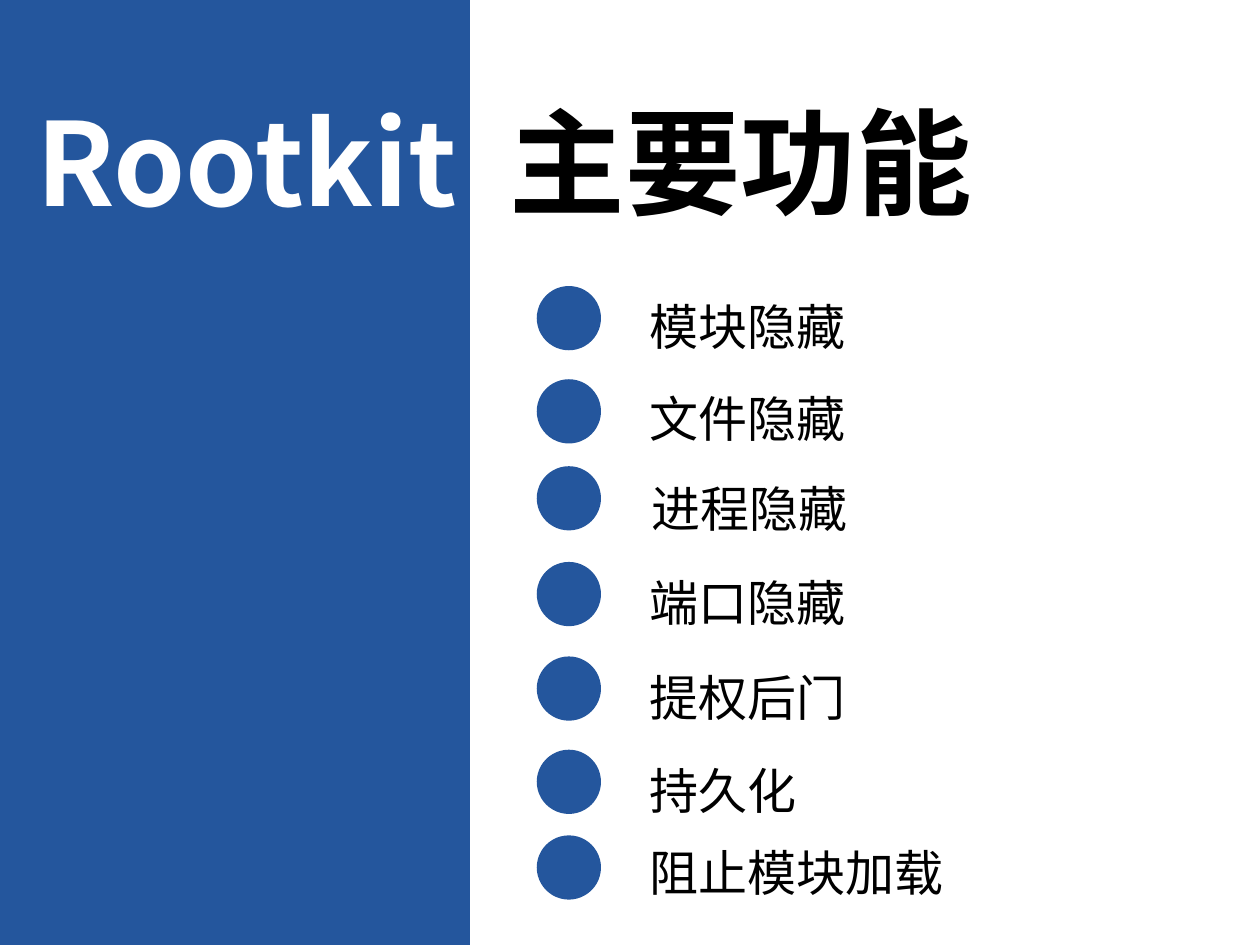
from dataclasses import dataclass

from pptx import Presentation
from pptx import util as u
from pptx.dml.color import RGBColor
from pptx.enum import shapes, text
from pptx.oxml import ns, xmlchemy

BLUE = RGBColor(0x24, 0x56, 0x9D)
WHITE = RGBColor(0xFF, 0xFF, 0xFF)
BLACK = RGBColor(0x00, 0x00, 0x00)
FONT = "Noto Sans CJK SC"
DOT_LEFT, DOT_SIZE = 4.26, 0.51
LABEL_LEFT, LABEL_WIDTH = 5.06, 6.49


@dataclass(frozen=True)
class Span:
    words: str
    size: int
    color: RGBColor
    bold: bool = False


@dataclass(frozen=True)
class Feature:
    name: str
    dot_top: float
    label_top: float
    label_left: float = LABEL_LEFT
    label_height: float = 0.66
    line_spacing: float = 1.25


TITLE = [
    Span("Rootkit  ", 66, WHITE, True),
    Span("主要功能", 66, BLACK, True),
]
FEATURES = [
    Feature("模块隐藏", 2.27, 2.19),
    Feature("文件隐藏", 3.01, 2.92),
    Feature("进程隐藏", 3.7, 3.63, label_left=5.07),
    Feature("端口隐藏", 4.46, 4.38),
    Feature("提权后门", 5.21, 5.13),
    Feature("持久化", 5.95, 5.87),
    Feature("阻止模块加载", 6.63, 6.64, label_height=0.57, line_spacing=1.0),
]


def add_solid(page, kind, left: float, top: float, width: float, height: float) -> None:
    solid = page.shapes.add_shape(
        kind, u.Inches(left), u.Inches(top), u.Inches(width), u.Inches(height)
    )
    solid.shadow.inherit = False
    solid.fill.solid()
    solid.fill.fore_color.rgb = BLUE
    solid.line.fill.background()


def add_text(page, spans: list[Span], left: float, top: float, width: float,
             height: float, line_spacing: float = 1.0) -> None:
    box = page.shapes.add_textbox(
        u.Inches(left), u.Inches(top), u.Inches(width), u.Inches(height)
    )
    frame = box.text_frame
    frame.word_wrap = True
    frame.auto_size = text.MSO_AUTO_SIZE.SHAPE_TO_FIT_TEXT
    para = frame.paragraphs[0]
    para.line_spacing = line_spacing
    for span in spans:
        run = para.add_run()
        run.text = span.words
        formats = {"name": FONT, "size": u.Pt(span.size), "bold": span.bold}
        for attribute, value in formats.items():
            setattr(run.font, attribute, value)
        run.font.color.rgb = span.color
        east_asian = xmlchemy.OxmlElement("a:ea")
        east_asian.set("typeface", FONT)
        run.font._element.find(ns.qn("a:latin")).addnext(east_asian)


def add_feature(page, feature: Feature) -> None:
    add_solid(page, shapes.MSO_SHAPE.OVAL, DOT_LEFT, feature.dot_top, DOT_SIZE, DOT_SIZE)
    add_text(page, [Span(feature.name, 28, BLACK)], feature.label_left,
             feature.label_top, LABEL_WIDTH, feature.label_height, feature.line_spacing)


def main() -> None:
    deck = Presentation()
    deck.slide_width, deck.slide_height = u.Inches(10), u.Inches(7.5)
    page = deck.slides.add_slide(deck.slide_layouts[6])
    add_solid(page, shapes.MSO_SHAPE.RECTANGLE, -0.01, -0.06, 3.74, 7.59)
    add_text(page, TITLE, 0.19, 0.67, 9.33, 1.21)
    for feature in FEATURES:
        add_feature(page, feature)
    deck.save("out.pptx")


if __name__ == "__main__":
    main()
